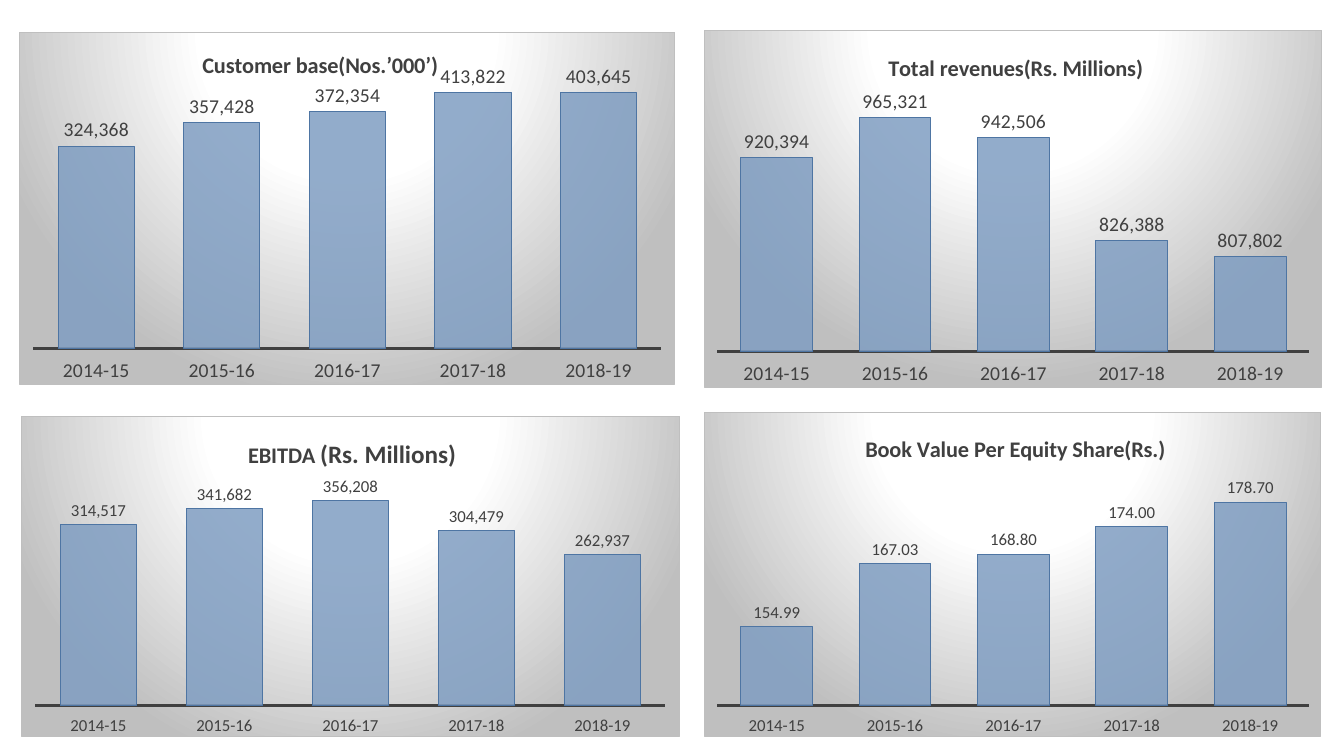
from dataclasses import dataclass
from typing import NamedTuple

from lxml.etree import SubElement
from pptx import Presentation
from pptx.chart.chart import Chart
from pptx.chart.data import CategoryChartData
from pptx.dml.color import RGBColor
from pptx.enum.chart import XL_CHART_TYPE, XL_LABEL_POSITION, XL_TICK_LABEL_POSITION, XL_TICK_MARK
from pptx.oxml import parse_xml
from pptx.oxml.ns import nsdecls, qn
from pptx.slide import Slide
from pptx.text.text import Font
from pptx.util import Emu, Pt

PIXELS_PER_INCH = 100.8
TITLE_FONT = "Calibri"
DARK_GREY = RGBColor(0x40, 0x40, 0x40)
MID_GREY = RGBColor(0xBF, 0xBF, 0xBF)
WHITE = RGBColor(0xFF, 0xFF, 0xFF)
BLACK = RGBColor(0x00, 0x00, 0x00)
BAR_BLUE = RGBColor(0x80, 0x9E, 0xC2)
BAR_EDGE = RGBColor(0x4E, 0x75, 0xA3)
YEARS = ["2014-15", "2015-16", "2016-17", "2017-18", "2018-19"]
BACKGROUND_STOPS = [(0, WHITE), (39, WHITE), (100, MID_GREY)]


class Box(NamedTuple):
    left: int
    top: int
    width: int
    height: int


class TitleRun(NamedTuple):
    text: str
    size: int


@dataclass(frozen=True)
class Panel:
    frame: Box
    plot: Box
    title_left: int
    title_top: int
    title_runs: list[TitleRun]
    values: list[float]
    minimum: float
    maximum: float
    label_size: int
    number_format: str = "#,##0"


PANELS = [
    Panel(Box(19, 32, 656, 353), Box(33, 92, 629, 257), 198, 45,
          [TitleRun("Customer base(Nos.’000’)", 16)],
          [324368, 357428, 372354, 413822, 403645], 40000, 400000, 14),
    Panel(Box(704, 30, 618, 358), Box(717, 87, 593, 265), 884, 48,
          [TitleRun("Total revenues(Rs. Millions)", 16)],
          [920394, 965321, 942506, 826388, 807802], 700000, 1000000, 14),
    Panel(Box(21, 416, 659, 321), Box(35, 475, 631, 231), 245, 434,
          [TitleRun("EBITDA ", 16), TitleRun("(Rs. Millions)", 18)],
          [314517, 341682, 356208, 304479, 262937], 0, 400000, 12),
    Panel(Box(704, 412, 617, 325), Box(717, 495, 593, 211), 861, 429,
          [TitleRun("Book Value Per Equity Share(Rs.)", 16)],
          [154.99, 167.03, 168.8, 174, 178.7], 140, 180, 12, "0.00"),
]


def px(length: int) -> Emu:
    return Emu(round(length * 914400 / PIXELS_PER_INCH))


def style_font(font: Font, size: int, color: RGBColor = DARK_GREY, name: str = TITLE_FONT) -> None:
    font.name = name
    font.size = Pt(size)
    font.color.rgb = color


def set_layout(parent, index: int, settings: dict[str, str | float]) -> None:
    for existing in parent.findall(qn("c:layout")):
        parent.remove(existing)
    layout = parse_xml(f"<c:layout {nsdecls('c')}><c:manualLayout/></c:layout>")
    for tag, value in settings.items():
        SubElement(layout[0], qn(f"c:{tag}")).set("val", str(value))
    parent.insert(index, layout)


def place_plot(chart: Chart, panel: Panel) -> None:
    frame, plot = panel.frame, panel.plot
    plot_area = chart.element.find(qn("c:chart")).find(qn("c:plotArea"))
    set_layout(plot_area, 0, {
        "layoutTarget": "inner", "xMode": "edge", "yMode": "edge",
        "x": (plot.left - frame.left) / frame.width,
        "y": (plot.top - frame.top) / frame.height,
        "w": plot.width / frame.width,
        "h": plot.height / frame.height,
    })


def add_title(chart: Chart, panel: Panel) -> None:
    frame = panel.frame
    paragraph = chart.chart_title.text_frame.paragraphs[0]
    for title_run in panel.title_runs:
        run = paragraph.add_run()
        run.text = title_run.text
        style_font(run.font, title_run.size)
        run.font.bold = True
    set_layout(chart.chart_title.element, 1, {
        "xMode": "edge", "yMode": "edge",
        "x": (panel.title_left - frame.left) / frame.width,
        "y": (panel.title_top - frame.top) / frame.height,
    })


def fill_background(chart: Chart) -> None:
    stops = "".join(
        f'<a:gs pos="{position * 1000}"><a:srgbClr val="{color}"/></a:gs>'
        for position, color in BACKGROUND_STOPS
    )
    properties = parse_xml(
        f"<c:spPr {nsdecls('c', 'a')}><a:gradFill><a:gsLst>{stops}</a:gsLst>"
        '<a:path path="circle">'
        '<a:fillToRect l="50000" t="-80000" r="50000" b="180000"/></a:path></a:gradFill>'
        f'<a:ln w="{Pt(0.75)}"><a:solidFill><a:srgbClr val="{MID_GREY}"/></a:solidFill></a:ln>'
        "</c:spPr>"
    )
    chart.element.find(qn("c:chart")).addnext(properties)


def style_axes(chart: Chart, panel: Panel) -> None:
    years_axis = chart.category_axis
    years_axis.major_tick_mark = XL_TICK_MARK.NONE
    years_axis.minor_tick_mark = XL_TICK_MARK.NONE
    years_axis.tick_label_position = XL_TICK_LABEL_POSITION.LOW
    years_axis.format.line.color.rgb = DARK_GREY
    years_axis.format.line.width = Pt(1.5)
    style_font(years_axis.tick_labels.font, panel.label_size)
    value_axis = chart.value_axis
    value_axis.has_major_gridlines = False
    value_axis.minimum_scale = panel.minimum
    value_axis.maximum_scale = panel.maximum
    value_axis.tick_labels.number_format = panel.number_format
    value_axis.tick_labels.number_format_is_linked = False
    value_axis.visible = False


def style_bars(chart: Chart, panel: Panel) -> None:
    bars = chart.plots[0]
    bars.gap_width = 65
    bars.vary_by_categories = False
    series = bars.series[0]
    series.invert_if_negative = False
    series.format.fill.solid()
    series.format.fill.fore_color.rgb = BAR_BLUE
    bar_color = next(series.format.element.iter(qn("a:srgbClr"))) if hasattr(
        series.format, "element") else next(chart.element.find(qn("c:chart")).iter(qn("c:ser"))).find(
        qn("c:spPr")).find(qn("a:solidFill"))[0]
    SubElement(bar_color, qn("a:alpha")).set("val", "85000")
    series.format.line.color.rgb = BAR_EDGE
    series.format.line.width = Pt(0.75)
    labels = series.data_labels
    labels.show_value = True
    labels.position = XL_LABEL_POSITION.OUTSIDE_END
    labels.number_format = panel.number_format
    labels.number_format_is_linked = False
    style_font(labels.font, panel.label_size)


def add_panel(slide: Slide, panel: Panel) -> None:
    chart_data = CategoryChartData(number_format=panel.number_format)
    chart_data.categories = YEARS
    chart_data.add_series("Series 1", panel.values)
    chart = slide.shapes.add_chart(
        XL_CHART_TYPE.COLUMN_CLUSTERED, *map(px, panel.frame), chart_data
    ).chart
    chart.has_legend = False
    style_font(chart.font, 10, BLACK, "Arial")
    fill_background(chart)
    add_title(chart, panel)
    place_plot(chart, panel)
    style_axes(chart, panel)
    style_bars(chart, panel)


def main() -> None:
    presentation = Presentation()
    presentation.slide_width = px(1344)
    presentation.slide_height = px(756)
    slide = presentation.slides.add_slide(presentation.slide_layouts[6])
    for panel in PANELS:
        add_panel(slide, panel)
    presentation.save("out.pptx")


if __name__ == "__main__":
    main()
